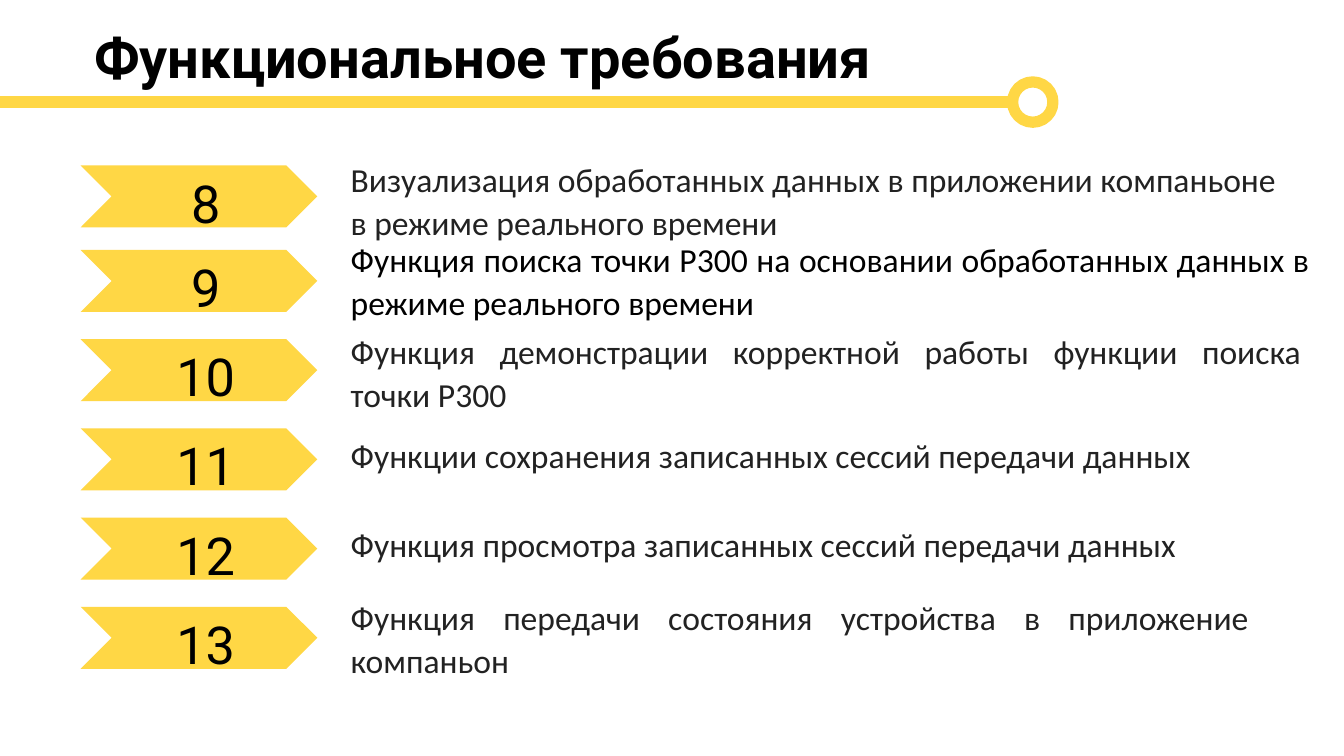
from pptx import Presentation
from pptx.dml.color import RGBColor
from pptx.enum import shapes, text
from pptx.oxml import ns
from pptx.util import Pt
from lxml import etree

YELLOW, BLACK, GREY = "FFD745", "000000", "222222"
JUSTIFY, LEFT = text.PP_ALIGN.JUSTIFY, text.PP_ALIGN.LEFT

# number, row top, text offset from row top, text width, colour, alignment
REQUIREMENTS = [
    ("8", 88.6, -8.7, 510, GREY, JUSTIFY,
     "Визуализация обработанных данных в приложении компаньоне в режиме реального времени"),
    ("9", 133.9, -10.8, 528, BLACK, JUSTIFY,
     "Функция поиска точки P300 на основании обработанных данных в режиме реального времени"),
    ("10", 181.7, -9.6, 523.5, GREY, JUSTIFY,
     "Функция демонстрации корректной работы функции поиска точки P300"),
    ("11", 229.5, -1.3, 523.5, GREY, JUSTIFY,
     "Функции сохранения записанных сессий передачи данных"),
    ("12", 277.3, 0, 487.5, GREY, LEFT,
     "Функция просмотра записанных сессий передачи данных"),
    ("13", 325.1, -10.5, 495.5, GREY, JUSTIFY,
     "Функция передачи состояния устройства в приложение компаньон"),
]


def rgb(value):
    return RGBColor.from_string(value)


def write(frame, words, font, size, color, align, bold=False, spacing=1.0, after=0):
    frame.word_wrap = True
    frame.auto_size = text.MSO_AUTO_SIZE.NONE
    frame.vertical_anchor = text.MSO_ANCHOR.TOP
    frame.text = words
    paragraph = frame.paragraphs[0]
    paragraph.alignment = align
    paragraph.line_spacing = spacing
    paragraph.space_before = Pt(0)
    paragraph.space_after = Pt(after)
    style = paragraph.runs[0].font
    style.name, style.size, style.bold = font, Pt(size), bold
    style.color.rgb = rgb(color)


def add_header(slide, left, top, width, height):
    # Title
    title = slide.shapes.title
    title.left, title.top = Pt(left), Pt(top)
    title.width, title.height = Pt(width), Pt(height)
    write(title.text_frame, "Функциональное требования", "Roboto", 30, BLACK, LEFT, bold=True)

    # Underline ending in a ring
    ring_left, ring_size, line_y = 542.5, 21.6, top + height + 0.6
    underline = slide.shapes.add_connector(
        shapes.MSO_CONNECTOR.STRAIGHT, Pt(-2), Pt(line_y), Pt(ring_left), Pt(line_y))
    etree.SubElement(underline._element.spPr, ns.qn("a:effectLst"))
    ring = slide.shapes.add_shape(
        shapes.MSO_SHAPE.OVAL, Pt(ring_left), Pt(line_y - ring_size / 2),
        Pt(ring_size), Pt(ring_size))
    ring.shadow.inherit = False
    ring.fill.background()
    for part in (underline, ring):
        part.line.color.rgb = rgb(YELLOW)
        part.line.width = Pt(6)


def add_requirement(slide, left, top, width, height, requirement):
    number, _, offset, text_width, color, align, words = requirement
    # Chevron
    chevron = slide.shapes.add_shape(
        shapes.MSO_SHAPE.CHEVRON, Pt(left), Pt(top), Pt(width), Pt(height))
    chevron.shadow.inherit = False
    chevron.fill.solid()
    chevron.fill.fore_color.rgb = rgb(YELLOW)
    chevron.line.fill.background()

    # Number over the chevron
    label = slide.shapes.add_textbox(Pt(left + 22), Pt(top - 3), Pt(90), Pt(31))
    write(label.text_frame, number, "Roboto", 28, BLACK, text.PP_ALIGN.CENTER, spacing=1.07)

    # Description to the right
    description = slide.shapes.add_textbox(
        Pt(left + width + 10.8), Pt(top + offset), Pt(text_width), Pt(23))
    justified = align == JUSTIFY
    write(description.text_frame, words, "Calibri", 18, color, align,
          spacing=1.07 if justified else 1.0, after=8 if justified else 0)


def main():
    deck = Presentation()
    deck.slide_width, deck.slide_height = Pt(720), Pt(405)
    slide = deck.slides.add_slide(deck.slide_layouts[5])
    add_header(slide, 43.2, 8.7, 532, 45.4)
    for requirement in REQUIREMENTS:
        add_requirement(slide, 43.2, requirement[1], 126.8, 33.2, requirement)
    deck.save("out.pptx")


if __name__ == "__main__":
    main()
